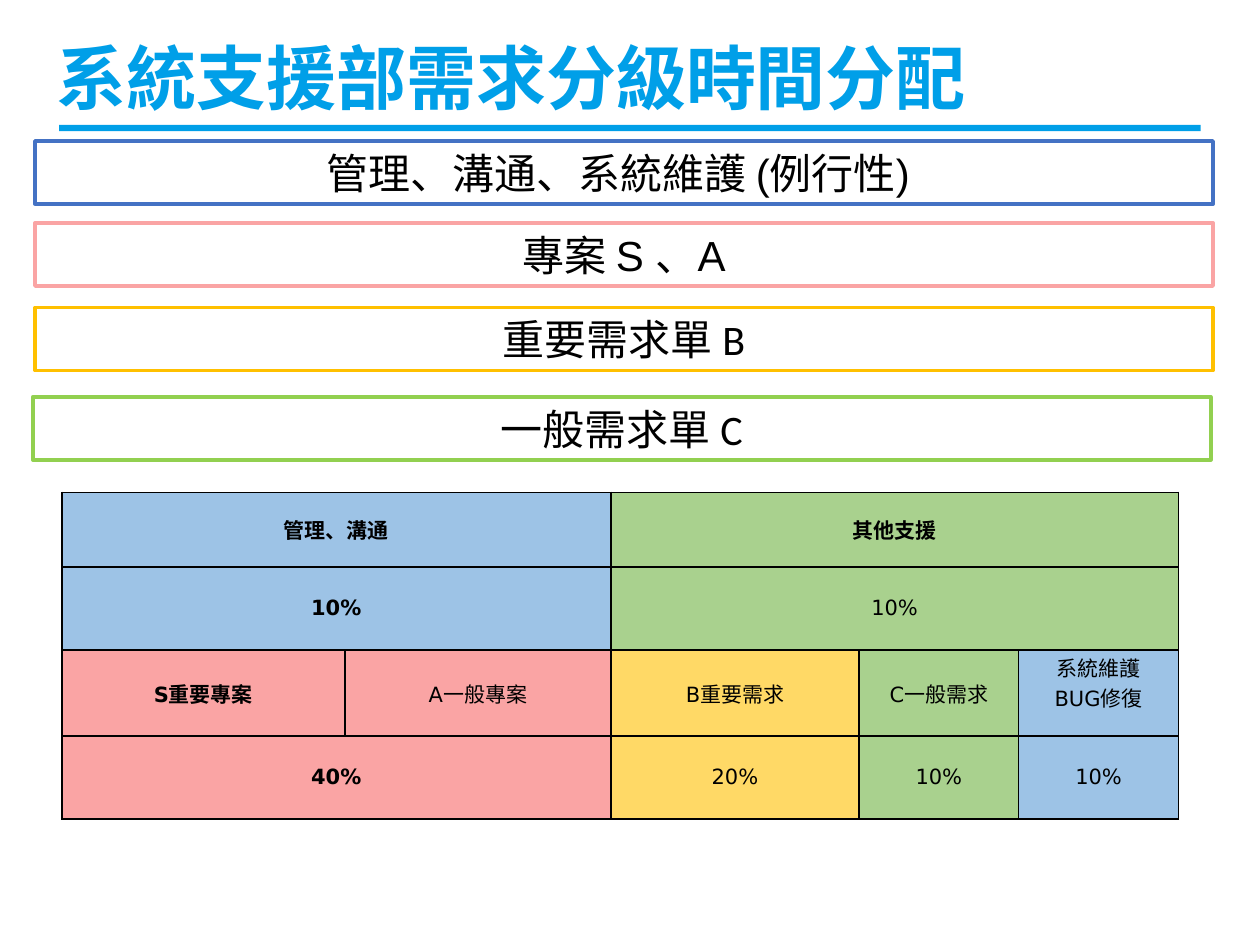
import pptx
import pptx.dml.color
import pptx.enum.shapes
import pptx.enum.text
import pptx.oxml
import pptx.oxml.ns
import pptx.util

Pt = pptx.util.Pt
ALIGN = pptx.enum.text.PP_ALIGN
ANCHOR = pptx.enum.text.MSO_ANCHOR
RECTANGLE = pptx.enum.shapes.MSO_SHAPE.RECTANGLE

# Content
TITLE = "系統支援部需求分級時間分配"
ACCENT, BLACK, WHITE = "009FE8", "000000", "FFFFFF"
BLUE, GREEN, RED, YELLOW = "9DC3E6", "A9D18E", "FAA4A4", "FFD966"

# Category bars: text, line colour, font, left, top
BARS = [
    ("管理、溝通、系統維護 (例行性) ", "4472C4", "Arial", 20, 80.6),
    ("專案 S 、A", RED, "Arial", 20, 127.5),
    ("重要需求單 B", "FFC000", "Calibri", 20, 175.7),
    ("一般需求單 C", "92D050", "Calibri", 18.7, 226.8),
]
BAR_WIDTH, BAR_HEIGHT = 673.2, 36

# Table rows: (text, fill, bold, columns spanned)
COLUMNS = [161.8, 152, 141.8, 91.3, 91.3]
ROWS = [42.5, 47.5, 49.2, 47.5]
CELLS = [
    [("管理、溝通", BLUE, True, 2), ("其他支援", GREEN, True, 3)],
    [("10%", BLUE, True, 2), ("10%", GREEN, False, 3)],
    [("S重要專案", RED, True, 1), ("A一般專案", RED, False, 1),
     ("B重要需求", YELLOW, False, 1), ("C一般需求", GREEN, False, 1),
     ("系統維護\vBUG修復", BLUE, False, 1)],
    [("40%", RED, True, 2), ("20%", YELLOW, False, 1),
     ("10%", GREEN, False, 1), ("10%", BLUE, False, 1)],
]


def color(value):
    return pptx.dml.color.RGBColor.from_string(value)


def fill_solid(item, value):
    item.fill.solid()
    item.fill.fore_color.rgb = color(value)


def style_text(text_frame, font, size, value, bold=False, align=ALIGN.CENTER):
    for paragraph in text_frame.paragraphs:
        paragraph.alignment = align
        paragraph.font.name = font
        paragraph.font.size = Pt(size)
        paragraph.font.bold = bold
        paragraph.font.color.rgb = color(value)


def add_rectangle(slide, left, top, width, height, fill):
    shape = slide.shapes.add_shape(
        RECTANGLE, Pt(left), Pt(top), Pt(width), Pt(height))
    shape.shadow.inherit = False
    fill_solid(shape, fill)
    shape.line.fill.background()
    return shape


def add_borders(cell):
    properties = cell._tc.get_or_add_tcPr()
    for index, side in enumerate(("lnL", "lnR", "lnT", "lnB")):
        properties.insert(index, pptx.oxml.parse_xml(
            f'<a:{side} {pptx.oxml.ns.nsdecls("a")} w="{Pt(1)}"><a:solidFill>'
            f'<a:srgbClr val="{BLACK}"/></a:solidFill></a:{side}>'))


def add_title(slide):
    title = slide.shapes.title
    title.left, title.top = Pt(25.2), Pt(15.8)
    title.width, title.height = Pt(643), Pt(55.4)
    title.text_frame.text = TITLE
    title.text_frame.vertical_anchor = ANCHOR.BOTTOM
    style_text(title.text_frame, "Arial", 40, ACCENT, True, ALIGN.LEFT)
    add_rectangle(slide, 33.8, 71.3, 652.3, 3.6, ACCENT)


def add_bars(slide):
    for text, line, font, left, top in BARS:
        bar = add_rectangle(slide, left, top, BAR_WIDTH, BAR_HEIGHT, WHITE)
        bar.line.color.rgb = color(line)
        bar.line.width = Pt(2)
        bar.text_frame.text = text
        bar.text_frame.word_wrap = True
        bar.text_frame.vertical_anchor = ANCHOR.MIDDLE
        style_text(bar.text_frame, font, 24, BLACK)


def add_time_table(slide):
    table = slide.shapes.add_table(
        len(ROWS), len(COLUMNS), Pt(35.3), Pt(281.4),
        Pt(sum(COLUMNS)), Pt(sum(ROWS))).table
    for column, width in zip(table.columns, COLUMNS):
        column.width = Pt(width)
    for row, height in zip(table.rows, ROWS):
        row.height = Pt(height)

    for row_index, entries in enumerate(CELLS):
        start = 0
        for text, fill, bold, span in entries:
            cell = table.cell(row_index, start)
            for offset in range(span):
                part = table.cell(row_index, start + offset)
                fill_solid(part, fill)
                add_borders(part)
            if span > 1:
                cell.merge(table.cell(row_index, start + span - 1))
            cell.text_frame.text = text
            cell.vertical_anchor = ANCHOR.MIDDLE
            cell.margin_left = cell.margin_right = Pt(1.4)
            cell.margin_top = cell.margin_bottom = 0
            # The two-line entry sits towards the top of its cell
            if "\v" in text:
                cell.margin_bottom = Pt(12)
            style_text(cell.text_frame, "DejaVu Sans", 12, BLACK, bold)
            start += span


def main():
    presentation = pptx.Presentation()
    presentation.slide_width, presentation.slide_height = Pt(720), Pt(540)
    slide = presentation.slides.add_slide(presentation.slide_layouts[5])
    add_title(slide)
    add_time_table(slide)
    add_bars(slide)
    presentation.save("out.pptx")


if __name__ == "__main__":
    main()
